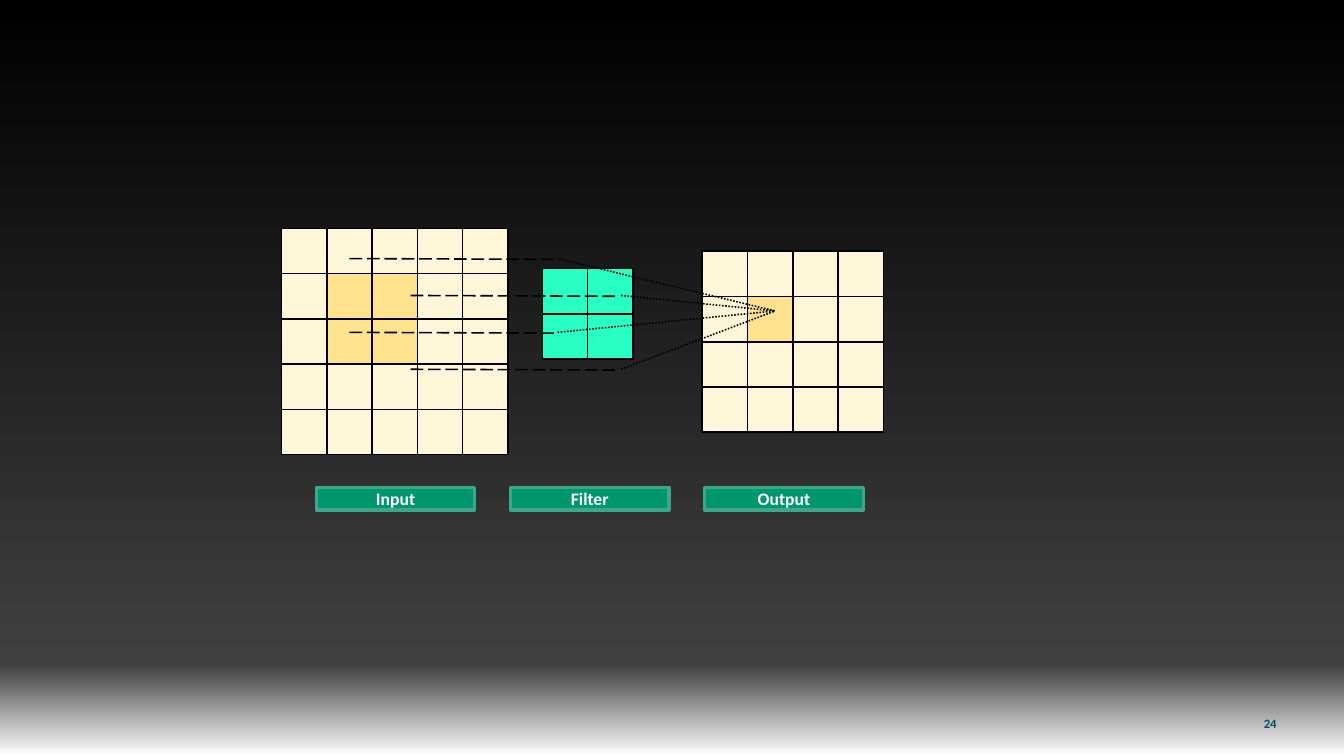
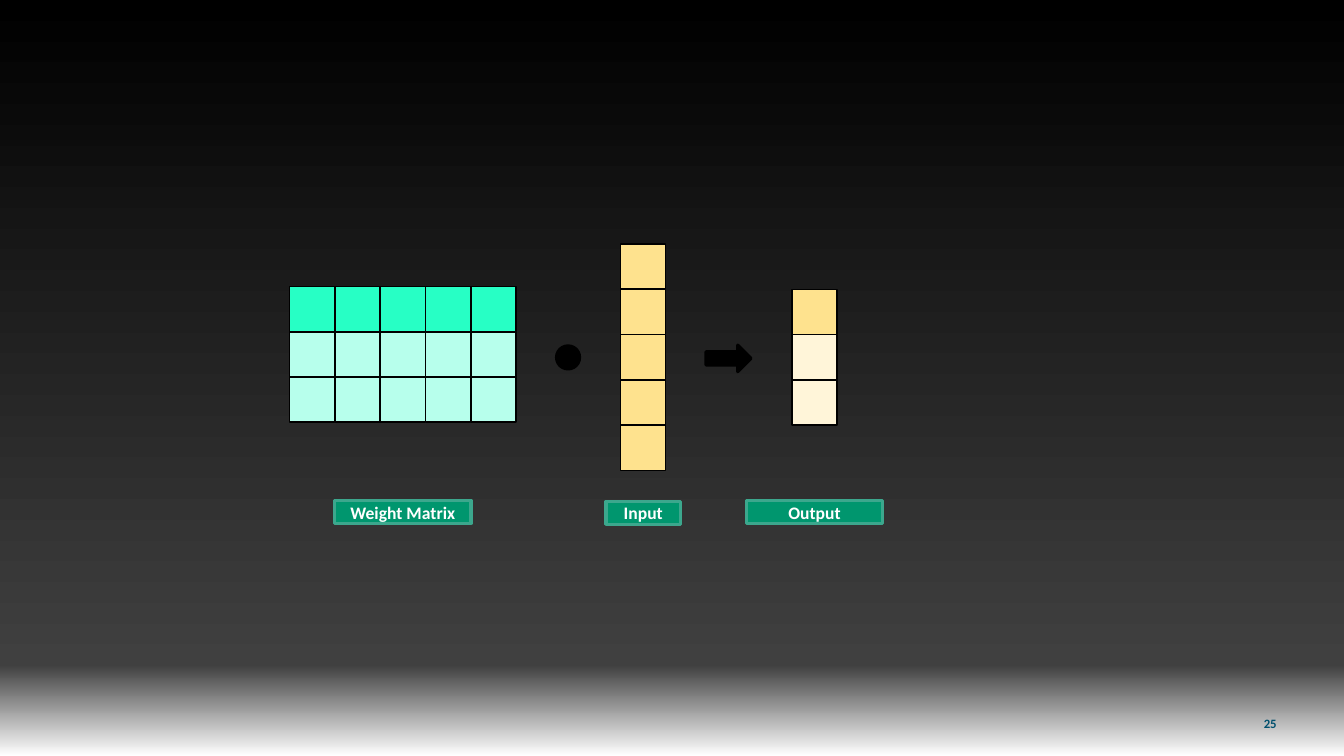
from copy import deepcopy
from dataclasses import dataclass

from lxml.etree import SubElement
from pptx import Presentation
from pptx.dml.color import RGBColor
from pptx.enum.dml import MSO_LINE
from pptx.enum.shapes import MSO_CONNECTOR, MSO_SHAPE
from pptx.enum.text import MSO_ANCHOR, PP_ALIGN
from pptx.oxml.ns import qn
from pptx.util import Pt


@dataclass(frozen=True)
class Theme:
    width: float = 841.5
    height: float = 473.34
    font: str = "Calibri"
    label_size: float = 11
    number_size: float = 8
    cell: float = 28.35
    label_height: float = 14.4
    thin: float = 1
    thick: float = 2
    black: str = "000000"
    white: str = "FFFFFF"
    number: str = "00506E"
    cream: str = "FFF5D9"
    yellow: str = "FEE28E"
    mint: str = "27FFC5"
    pale_mint: str = "B7FFEC"
    green: str = "00966E"
    green_edge: str = "3CA78D"
    backdrop: tuple = ((0, "000000"), (0.88, "404040"), (1, "FFFFFF"))


T = Theme()


def rgb(code):
    return RGBColor.from_string(code)


# Shared parts
def set_backdrop(master):
    fill = master.background.fill
    fill.gradient()
    fill.gradient_angle = 270
    stops = next(master.element.iter(qn("a:gsLst")))
    stops.append(deepcopy(stops[-1]))
    for stop, (position, color) in zip(fill.gradient_stops, T.backdrop):
        stop.position = position
        stop.color.rgb = rgb(color)


def write(tf, text, size, color, align):
    tf.text = text
    tf.word_wrap = True
    tf.vertical_anchor = MSO_ANCHOR.MIDDLE
    tf.margin_left = tf.margin_right = 0
    p = tf.paragraphs[0]
    p.alignment = align
    font = p.runs[0].font
    font.name, font.size, font.bold = T.font, Pt(size), True
    font.color.rgb = rgb(color)


def add_number(s, number):
    tb = s.shapes.add_textbox(Pt(791.3), Pt(442.4), Pt(25.9), Pt(20.9))
    write(tb.text_frame, str(number), T.number_size, T.number, PP_ALIGN.LEFT)


def add_preset(shapes, kind, x, y, w, h, fill, edge=T.black, weight=T.thick):
    sp = shapes.add_shape(kind, Pt(x), Pt(y), Pt(w), Pt(h))
    sp.shadow.inherit = False
    sp.fill.solid()
    sp.fill.fore_color.rgb = rgb(fill)
    sp.line.color.rgb = rgb(edge)
    sp.line.width = Pt(weight)
    return sp


def add_grid(s, x, y, rows, cols, color_at):
    """Draw a group of square cells; color_at(row, col) gives each fill."""
    group = s.shapes.add_group_shape()
    for row in range(rows):
        for col in range(cols):
            add_preset(group.shapes, MSO_SHAPE.RECTANGLE,
                       x + col * T.cell, y + row * T.cell, T.cell, T.cell,
                       color_at(row, col), weight=T.thin)


def add_label(s, x, y, w, text):
    sp = add_preset(s.shapes, MSO_SHAPE.RECTANGLE, x, y, w, T.label_height,
                    T.green, T.green_edge)
    write(sp.text_frame, text, T.label_size, T.white, PP_ALIGN.CENTER)


def add_line(s, x1, y1, x2, y2, dash):
    line = s.shapes.add_connector(MSO_CONNECTOR.STRAIGHT,
                                  Pt(x1), Pt(y1), Pt(x2), Pt(y2))
    line.line.color.rgb = rgb(T.black)
    line.line.width = Pt(T.thin)
    line.line.dash_style = dash
    SubElement(line._element.spPr, qn("a:effectLst"))


# Slide: a filter slides over the input
def draw_convolution(s, x, y):
    def input_color(row, col):
        return T.yellow if row in (1, 2) and col in (1, 2) else T.cream

    def output_color(row, col):
        return T.yellow if (row, col) == (1, 1) else T.cream

    add_grid(s, x, y, 5, 5, input_color)
    add_grid(s, x + 163.3, y + 25.2, 2, 2, lambda row, col: T.mint)
    add_grid(s, x + 263.4, y + 14.3, 4, 4, output_color)

    for i, text in enumerate(("Input", "Filter", "Output")):
        add_label(s, x + 21.8 + i * 121.6, y + 162, 99.2, text)

    # Beams: dashed to the filter, dotted on to the output cell
    for i in range(4):
        start, bend = ((42.5, 172), (80.8, 211.8))[i % 2]
        level = y + 18.9 + i * 23.1
        add_line(s, x + start, level, x + bend - 0.8, level + 0.5,
                 MSO_LINE.LONG_DASH)
        add_line(s, x + bend + 0.8, level, x + 309, y + 51.7,
                 MSO_LINE.ROUND_DOT)


# Slide: weight matrix times input vector
def draw_product(s, x, y):
    for left, top, w, text in ((198, 161.2, 46.8, "Input"),
                               (28.1, 160.6, 85.4, "Weight Matrix"),
                               (285.9, 160.6, 85.4, "Output")):
        add_label(s, x + left, y + top, w, text)

    add_grid(s, x + 207, y, 5, 1, lambda row, col: T.yellow)
    add_grid(s, x, y + 26.6, 3, 5,
             lambda row, col: T.pale_mint if row else T.mint)
    add_grid(s, x + 314.4, y + 28.4, 3, 1,
             lambda row, col: T.cream if row else T.yellow)

    # Operators
    add_preset(s.shapes, MSO_SHAPE.OVAL, x + 167.1, y + 63.8, 14.4, 14.4,
               T.black)
    add_preset(s.shapes, MSO_SHAPE.RIGHT_ARROW, x + 260.7, y + 63.3, 28.1,
               16.6, T.black)


def main():
    prs = Presentation()
    prs.slide_width, prs.slide_height = Pt(T.width), Pt(T.height)
    set_backdrop(prs.slide_master)
    diagrams = ((draw_convolution, 176.3, 143), (draw_product, 181.4, 152.8))
    for number, (draw, x, y) in enumerate(diagrams, start=24):
        s = prs.slides.add_slide(prs.slide_layouts[6])
        add_number(s, number)
        draw(s, x, y)
    prs.save("out.pptx")


if __name__ == "__main__":
    main()
